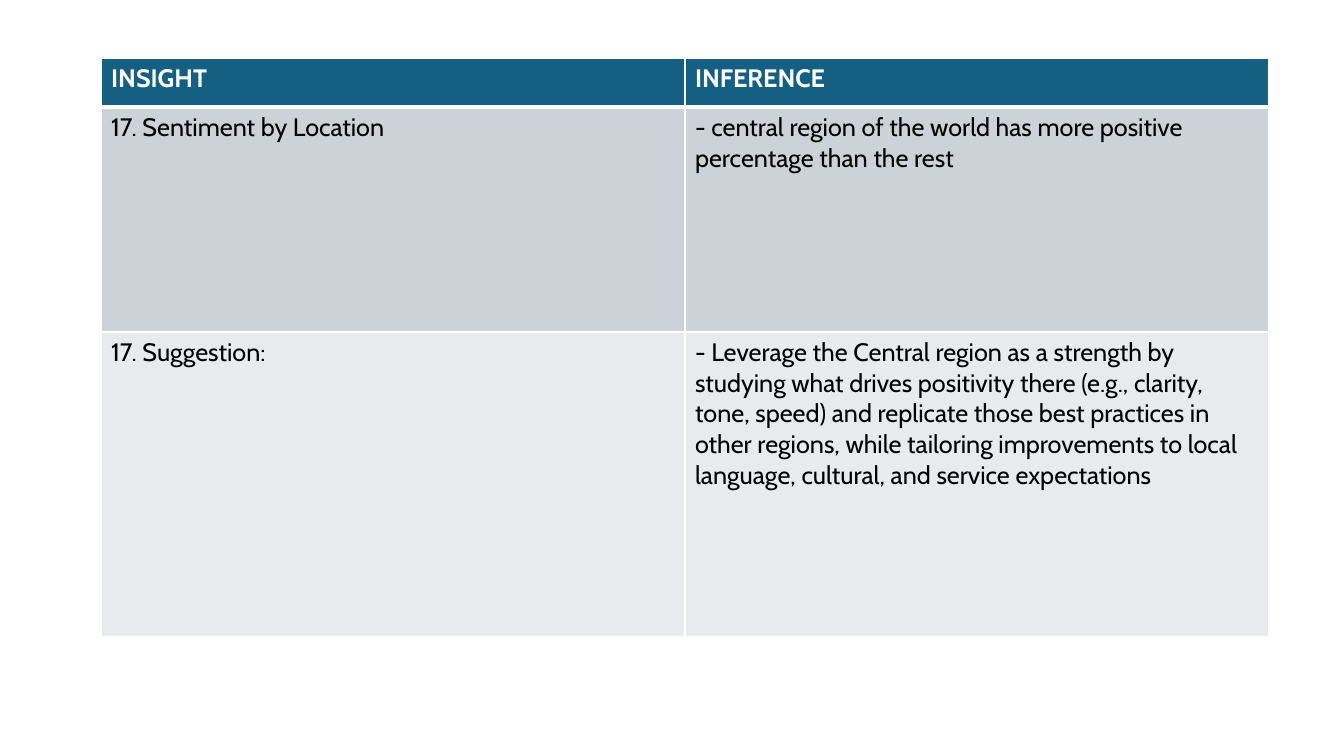
from lxml import etree
from pptx import Presentation
from pptx.dml.color import RGBColor
from pptx.oxml.ns import qn
from pptx.util import Emu, Pt

COLORS = {"header": "156082", "insight": "CCD2D8", "suggestion": "E8EAED",
          "white": "FFFFFF", "black": "000000"}
FONT = "Cabin"


def px(n):
    return Emu(round(n * 914400 / 100.8))


def set_borders(cell, bottom):
    tcPr = cell._tc.get_or_add_tcPr()
    sides = [("lnL", 1), ("lnR", 1), ("lnT", 1), ("lnB", bottom)]
    for i, (side, width) in enumerate(sides):
        ln = etree.Element(qn(f"a:{side}"), w=str(Pt(width)))
        fill = etree.SubElement(ln, qn("a:solidFill"))
        etree.SubElement(fill, qn("a:srgbClr"), val=COLORS["white"])
        tcPr.insert(i, ln)


prs = Presentation()
prs.slide_width, prs.slide_height = px(1344), px(756)
s = prs.slides.add_slide(prs.slide_layouts[6])

rows = [
    (49, "header", "white", ["INSIGHT", "INFERENCE"]),
    (225, "insight", "black", [
        "17. Sentiment by Location",
        "- central region of the world has more positive percentage than the rest"]),
    (305, "suggestion", "black", [
        "17. Suggestion:",
        "- Leverage the Central region as a strength by studying what drives "
        "positivity there (e.g., clarity, tone, speed) and replicate those best "
        "practices in other regions, while tailoring improvements to local "
        "language, cultural, and service expectations"]),
]

height = sum(row[0] for row in rows)
table = s.shapes.add_table(len(rows), 2, px(101), px(58), px(1168), px(height)).table
for col in table.columns:
    col.width = px(584)

for i, (row_height, fill, color, texts) in enumerate(rows):
    table.rows[i].height = px(row_height)
    for j, text in enumerate(texts):
        cell = table.cell(i, j)
        cell.fill.solid()
        cell.fill.fore_color.rgb = RGBColor.from_string(COLORS[fill])
        set_borders(cell, 3 if i == 0 else 1)
        cell.text_frame.text = text
        font = cell.text_frame.paragraphs[0].runs[0].font
        font.name = FONT
        font.size = Pt(18)
        font.bold = i == 0
        font.color.rgb = RGBColor.from_string(COLORS[color])

prs.save("out.pptx")
